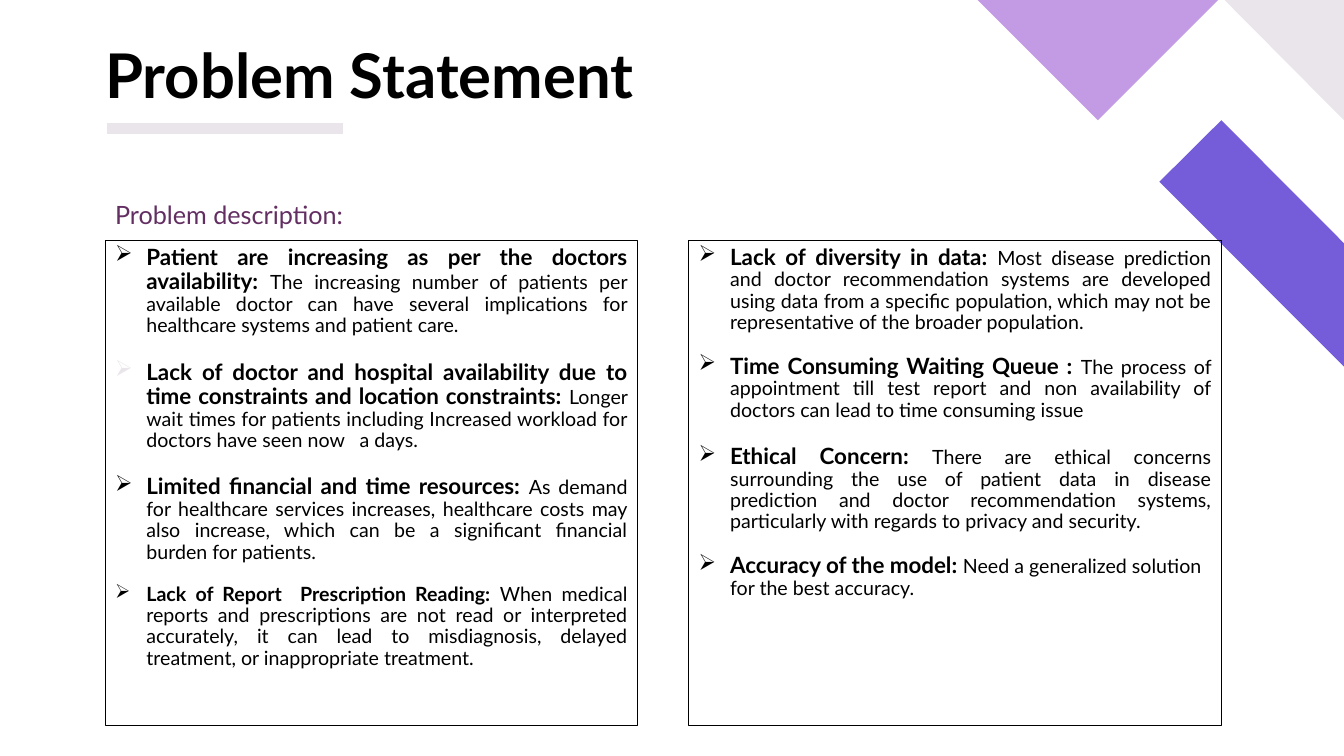
"""Build the Problem Statement slide."""
from dataclasses import dataclass

from lxml.etree import SubElement
from pptx import Presentation
from pptx.dml.color import RGBColor
from pptx.enum.shapes import MSO_CONNECTOR, MSO_SHAPE
from pptx.enum.text import MSO_ANCHOR, PP_ALIGN
from pptx.oxml.ns import qn
from pptx.slide import Slide
from pptx.text.text import TextFrame, _Paragraph
from pptx.util import Cm, Pt

BLACK = RGBColor(0x00, 0x00, 0x00)
PALE = RGBColor(0xEA, 0xE5, 0xEB)
LILAC = RGBColor(0xC3, 0x9A, 0xE4)
VIOLET = RGBColor(0x75, 0x5D, 0xD9)
PLUM = RGBColor(0x63, 0x2E, 0x62)
FONT = "Lato"
BULLET_FONT = "Wingdings"
LINE_SPACING = 0.9
LEFT = 2.65
COLUMN_WIDTH = 13.42
COLUMN_STEP = 14.71
INDENT = Cm(0.79)


@dataclass
class Decoration:
    """A filled polygon with corners in hundredths of a centimetre."""
    color: RGBColor
    corners: list[tuple[int, int]]


@dataclass
class Problem:
    """A bulleted paragraph with a bold heading."""
    heading: str
    detail: str
    gap_after: float = 0
    heading_size: int = 16
    bullet_color: RGBColor = BLACK
    alignment: PP_ALIGN = PP_ALIGN.JUSTIFY


DECORATIONS = [
    Decoration(VIOLET, [(3387, 924), (3387, 613), (3078, 303), (2922, 458)]),
    Decoration(PALE, [(3387, 303), (3387, 0), (3086, 0)]),
    Decoration(LILAC, [(2464, 0), (2767, 303), (3070, 0)]),
]

COLUMNS = [
    [
        Problem("Patient are increasing as per the doctors availability: ",
                "The increasing number of patients per available doctor can have several "
                "implications for healthcare systems and patient care.", 17.3),
        Problem("Lack of doctor and hospital availability due to time constraints and "
                "location constraints: ",
                "Longer wait times for patients including Increased workload for doctors "
                "have seen now   a days.", 17.3, bullet_color=PALE),
        Problem("Limited financial and time resources: ",
                "As demand for healthcare services increases, healthcare costs may also "
                "increase, which can be a significant financial burden for patients.", 15.1),
        Problem("Lack of Report  Prescription Reading: ",
                "When medical reports and prescriptions are not read or interpreted "
                "accurately, it can lead to misdiagnosis, delayed treatment, or "
                "inappropriate treatment.", heading_size=14),
    ],
    [
        Problem("Lack of diversity in data: ",
                "Most disease prediction and doctor recommendation systems are developed "
                "using data from a specific population, which may not be representative "
                "of the broader population.", 15.1),
        Problem("Time Consuming Waiting Queue : ",
                "The process of appointment till test report and non availability of "
                "doctors can lead to time consuming issue", 17.3),
        Problem("Ethical Concern: ",
                "There are ethical concerns surrounding the use of patient data in disease "
                "prediction and doctor recommendation systems, particularly with regards "
                "to privacy and security.", 15.1),
        Problem("Accuracy of the model: ",
                "Need a generalized solution for the best accuracy.",
                alignment=PP_ALIGN.LEFT),
    ],
]


def add_span(para: _Paragraph, text: str, size: int, color: RGBColor = BLACK,
             bold: bool = False) -> None:
    """Append one formatted run."""
    span = para.add_run()
    span.text = text
    span.font.name = FONT
    span.font.size = Pt(size)
    span.font.bold = bold
    span.font.color.rgb = color


def add_bullet(para: _Paragraph, color: RGBColor) -> None:
    """Give a paragraph an arrowhead bullet and a hanging indent."""
    properties = para._p.get_or_add_pPr()
    properties.set("marL", str(INDENT))
    properties.set("indent", str(-INDENT))
    bullet_color = SubElement(properties, qn("a:buClr"))
    SubElement(bullet_color, qn("a:srgbClr"), val=str(color))
    SubElement(properties, qn("a:buFont"), typeface=BULLET_FONT, pitchFamily="2", charset="2")
    SubElement(properties, qn("a:buChar"), char="Ø")


def add_decoration(page: Slide, decoration: Decoration) -> None:
    """Draw one polygon."""
    start, *others = decoration.corners
    builder = page.shapes.build_freeform(*start, scale=Cm(0.01))
    builder.add_line_segments(others, close=True)
    shape = builder.convert_to_shape()
    shape.shadow.inherit = False
    shape.fill.solid()
    shape.fill.fore_color.rgb = decoration.color
    shape.line.fill.background()


def add_underline(page: Slide) -> None:
    """Draw the thick rule below the title."""
    rule = page.shapes.add_connector(
        MSO_CONNECTOR.STRAIGHT, Cm(2.69), Cm(3.23), Cm(8.64), Cm(3.23))
    rule.line.color.rgb = PALE
    rule.line.width = Pt(8)
    SubElement(rule._element.spPr, qn("a:effectLst"))


def add_label(page: Slide, text: str, top: float, width: float, height: float,
              size: int, color: RGBColor, bold: bool = False) -> TextFrame:
    """Add a single line of text at the left margin."""
    box = page.shapes.add_textbox(Cm(LEFT), Cm(top), Cm(width), Cm(height))
    frame = box.text_frame
    frame.word_wrap = True
    para = frame.paragraphs[0]
    para.line_spacing = LINE_SPACING
    add_span(para, text, size, color, bold)
    return frame


def add_column(page: Slide, left: float, problems: list[Problem]) -> None:
    """Draw an outlined box holding a list of problems."""
    box = page.shapes.add_shape(
        MSO_SHAPE.RECTANGLE, Cm(left), Cm(6.07), Cm(COLUMN_WIDTH), Cm(12.22))
    box.shadow.inherit = False
    box.fill.background()
    box.line.color.rgb = BLACK
    box.line.width = Pt(0.75)
    frame = box.text_frame
    frame.word_wrap = True
    frame.vertical_anchor = MSO_ANCHOR.TOP
    for index, problem in enumerate(problems):
        para = frame.add_paragraph() if index else frame.paragraphs[0]
        para.alignment = problem.alignment
        para.line_spacing = LINE_SPACING
        para.space_after = Pt(problem.gap_after)
        add_bullet(para, problem.bullet_color)
        add_span(para, problem.heading, problem.heading_size, bold=True)
        add_span(para, problem.detail, 14)


def main() -> None:
    """Assemble and save the deck."""
    deck = Presentation()
    deck.slide_width, deck.slide_height = Cm(33.87), Cm(19.05)
    page = deck.slides.add_slide(deck.slide_layouts[6])
    add_underline(page)
    for decoration in DECORATIONS:
        add_decoration(page, decoration)
    title = add_label(page, "Problem Statement", 1.12, 16.05, 1.7, 44, BLACK, True)
    title.vertical_anchor = MSO_ANCHOR.BOTTOM
    title.margin_left = title.margin_right = title.margin_top = title.margin_bottom = Cm(0)
    for index, problems in enumerate(COLUMNS):
        add_column(page, LEFT + index * COLUMN_STEP, problems)
    add_label(page, "Problem description:", 4.98, COLUMN_WIDTH, 0.89, 18, PLUM)
    deck.save("out.pptx")


if __name__ == "__main__":
    main()
